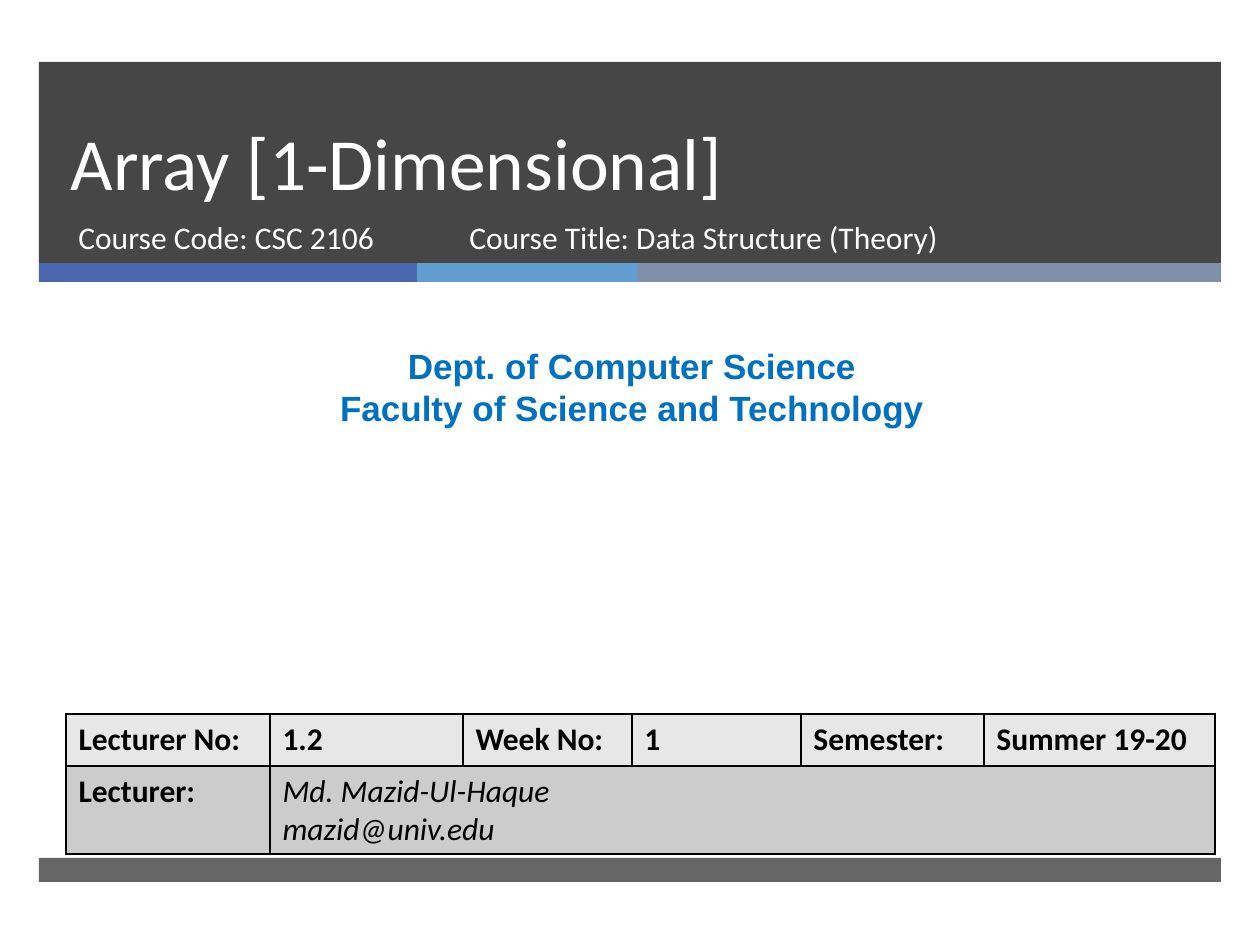
from lxml.etree import SubElement
from pptx import Presentation
from pptx.dml.color import RGBColor
from pptx.enum.shapes import MSO_SHAPE as SHAPE
from pptx.enum.text import MSO_ANCHOR as ANCHOR, MSO_AUTO_SIZE as AUTO_SIZE, PP_ALIGN as ALIGN
from pptx.oxml.ns import qn
from pptx.util import Pt

PX = 914400 // 126
SLIDE_SIZE = (1260, 945)

BAND_LEFT = 39
HEADER = (BAND_LEFT, 62, 1182, 202, "262626", 85)
FOOTER = (BAND_LEFT, 858, 1182, 24, "262626", 70)
STRIPE_TOP, STRIPE_HEIGHT = 263, 19
STRIPES = [(378, "4A66AC"), (221, "629DD1"), (583, "7F8FA9")]

TITLE = "Array [1-Dimensional]"
TITLE_BOX = (58, 62, 1076, 150)
LABELS = [
    ((66, 212, 384, 67), ["Course Code: CSC 2106"], dict(size=18, color="FFFFFF"), ALIGN.LEFT),
    ((457, 212, 573, 67), ["Course Title: Data Structure (Theory)"],
     dict(size=18, color="FFFFFF"), ALIGN.LEFT),
    ((10, 338, 1244, 97), ["Dept. of Computer Science", "Faculty of Science and Technology"],
     dict(size=20, color="0070C0", font="Arial", bold=True), ALIGN.CENTER),
]

TABLE_LEFT, TABLE_TOP = 66, 714
COLUMNS = [204, 193, 169, 169, 183, 231]
ROWS = [
    (52, "E7E7E7", [["Lecturer No:"], ["1.2"], ["Week No:"], ["1"], ["Semester:"], ["Summer 19-20"]]),
    (88, "CCCCCC", [["Lecturer:"], ["Md. Mazid-Ul-Haque", "mazid@univ.edu"]]),
]


def px(*lengths):
    return [length * PX for length in lengths]


def rgb(value):
    return RGBColor.from_string(value)


def write(frame, lines, size, color, font="Calibri", bold=False, italic=False,
          align=ALIGN.LEFT, spacing=None):
    for index, line in enumerate(lines):
        paragraph = frame.add_paragraph() if index else frame.paragraphs[0]
        paragraph.alignment = align
        paragraph.line_spacing = spacing
        run = paragraph.add_run()
        run.text = line
        run.font.name, run.font.size = font, Pt(size)
        run.font.bold, run.font.italic = bold, italic
        run.font.color.rgb = rgb(color)


def add_band(slide, left, top, width, height, color, opacity=100):
    band = slide.shapes.add_shape(SHAPE.RECTANGLE, *px(left, top, width, height))
    band.shadow.inherit = False
    band.line.fill.background()
    band.fill.solid()
    band.fill.fore_color.rgb = rgb(color)
    if opacity < 100:
        tint = band.element.spPr.find(qn("a:solidFill"))[0]
        SubElement(tint, qn("a:alpha"), val=str(opacity * 1000))
    slide.shapes.title.element.addprevious(band.element)


def add_bands(slide):
    add_band(slide, *HEADER)
    left = BAND_LEFT
    for width, color in STRIPES:
        add_band(slide, left, STRIPE_TOP, width, STRIPE_HEIGHT, color)
        left += width
    add_band(slide, *FOOTER)


def add_title(slide):
    title = slide.shapes.title
    title.left, title.top, title.width, title.height = px(*TITLE_BOX)
    frame = title.text_frame
    frame.auto_size = AUTO_SIZE.NONE
    frame.vertical_anchor = ANCHOR.BOTTOM
    write(frame, [TITLE], 42, "FFFFFF", spacing=Pt(46))


def add_labels(slide):
    for box, lines, style, align in LABELS:
        frame = slide.shapes.add_textbox(*px(*box)).text_frame
        frame.word_wrap = True
        write(frame, lines, align=align, **style)


def style_cell(cell, color):
    properties = cell._tc.get_or_add_tcPr()
    for side in ("lnL", "lnR", "lnT", "lnB"):
        border = SubElement(properties, qn(f"a:{side}"), w=str(Pt(1)))
        SubElement(SubElement(border, qn("a:solidFill")), qn("a:srgbClr"), val="000000")
    cell.fill.solid()
    cell.fill.fore_color.rgb = rgb(color)


def add_details(slide):
    heights = [height for height, _, _ in ROWS]
    box = px(TABLE_LEFT, TABLE_TOP, sum(COLUMNS), sum(heights))
    table = slide.shapes.add_table(len(ROWS), len(COLUMNS), *box).table
    for column, width in zip(table.columns, px(*COLUMNS)):
        column.width = width
    for row, (height, color, texts) in zip(table.rows, ROWS):
        row.height = height * PX
        for cell in row.cells:
            style_cell(cell, color)
        for cell, lines in zip(row.cells, texts):
            is_lecturer = len(lines) > 1
            write(cell.text_frame, lines, 18, "000000", bold=not is_lecturer, italic=is_lecturer)
    table.cell(1, 1).merge(table.cell(1, len(COLUMNS) - 1))


def main():
    deck = Presentation()
    deck.slide_width, deck.slide_height = px(*SLIDE_SIZE)
    slide = deck.slides.add_slide(deck.slide_layouts[5])
    add_bands(slide)
    add_title(slide)
    add_labels(slide)
    add_details(slide)
    deck.save("out.pptx")


if __name__ == "__main__":
    main()
